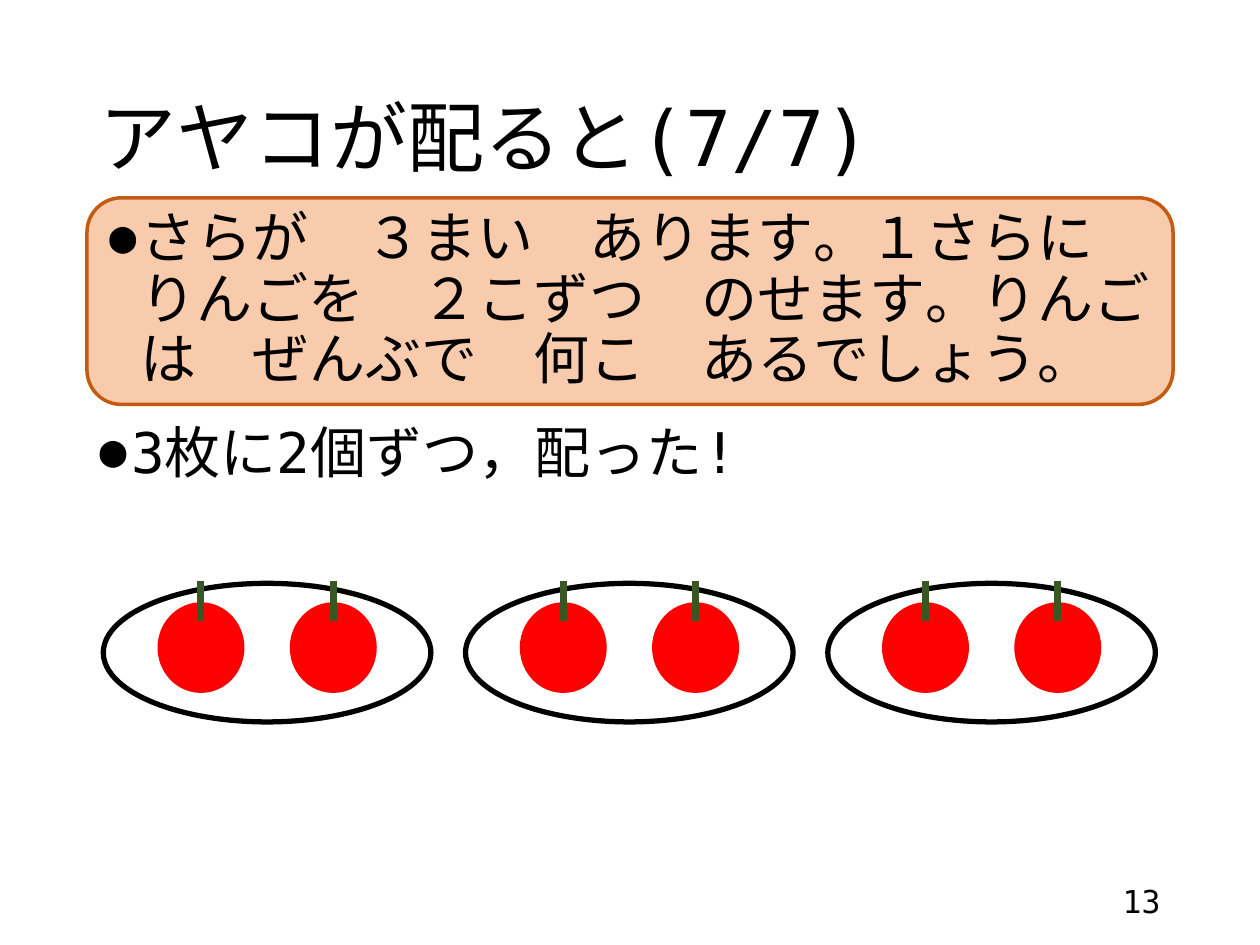
from dataclasses import dataclass

from lxml import etree
from pptx import Presentation
from pptx import util as u
from pptx.dml.color import RGBColor
from pptx.enum import shapes, text
from pptx.oxml.ns import qn


@dataclass(frozen=True)
class Theme:
    font: str = "DejaVu Sans Mono"
    title: int = 44
    body: int = 32
    number: int = 18
    ink: str = "000000"
    paper: str = "FFFFFF"
    apple: str = "FF0000"
    stem: str = "385723"
    panel: str = "F8CBAD"
    edge: str = "C55A11"


THEME = Theme()
W, H = 10, 7.5
MARGIN = 0.69
CONTENT_W = W - 2 * MARGIN


def rgb(value):
    return RGBColor.from_string(value)


def place(sp, box):
    sp.left, sp.top, sp.width, sp.height = (u.Inches(v) for v in box)


def write(sp, words, size, align=text.PP_ALIGN.LEFT, anchor=text.MSO_ANCHOR.MIDDLE,
          bullet=False, spacing=0.9):
    tf = sp.text_frame
    tf.word_wrap = True
    tf.auto_size = text.MSO_AUTO_SIZE.NONE
    tf.vertical_anchor = anchor
    p = tf.paragraphs[0]
    p.alignment = align
    p.line_spacing = spacing
    p.space_before = u.Pt(0)
    if bullet:
        pPr = p._p.get_or_add_pPr()
        pPr.set("marL", str(u.Inches(0.25)))
        pPr.set("indent", str(-u.Inches(0.25)))
        etree.SubElement(pPr, qn("a:buSzPct")).set("val", "80000")
        etree.SubElement(pPr, qn("a:buFont")).set("typeface", THEME.font)
        etree.SubElement(pPr, qn("a:buChar")).set("char", "●")
    r = p.add_run()
    r.text = words
    r.font.size = u.Pt(size)
    r.font.name = THEME.font
    r.font.color.rgb = rgb(THEME.ink)
    etree.SubElement(r._r.get_or_add_rPr(), qn("a:ea")).set("typeface", THEME.font)


def add_filled(parent, kind, box, fill, line=None, width=0):
    sp = parent.add_shape(kind, *(u.Inches(v) for v in box))
    sp.shadow.inherit = False
    sp.fill.solid()
    sp.fill.fore_color.rgb = rgb(fill)
    if line:
        sp.line.color.rgb = rgb(line)
        sp.line.width = u.Pt(width)
    else:
        sp.line.fill.background()
    return sp


def add_problem(slide, box, words):
    sp = add_filled(slide.shapes, shapes.MSO_SHAPE.ROUNDED_RECTANGLE, box,
                    THEME.panel, THEME.edge, 2)
    write(sp, words, THEME.body, bullet=True)


def add_apple(slide, box):
    x, y, w, h = box
    group = slide.shapes.add_group_shape()
    add_filled(group.shapes, shapes.MSO_SHAPE.OVAL, box, THEME.apple)
    # Stem, centred over the apple
    mid = u.Inches(x + w / 2)
    stem = group.shapes.add_connector(shapes.MSO_CONNECTOR.STRAIGHT, mid,
                                      u.Inches(y - 0.17), mid, u.Inches(y + 0.15))
    stem.line.color.rgb = rgb(THEME.stem)
    stem.line.width = u.Pt(4)
    etree.SubElement(stem._element.spPr, qn("a:effectLst"))


def add_plate(slide, box, apples=2):
    x, y, w, h = box
    add_filled(slide.shapes, shapes.MSO_SHAPE.OVAL, box, THEME.paper, THEME.ink, 3)
    for i in range(apples):
        add_apple(slide, (x + 0.43 + i * 1.05, y + 0.15, 0.69, 0.72))


def add_plates(slide, box, count=3):
    x, y, w, h = box
    plate_w = 2.6
    step = (w - plate_w) / (count - 1)
    for i in range(count):
        add_plate(slide, (x + i * step, y, plate_w, h))


def add_page_number(slide, box, number):
    sp = slide.shapes.add_textbox(*(u.Inches(v) for v in box))
    write(sp, number, THEME.number, align=text.PP_ALIGN.RIGHT, spacing=1.0)


def main():
    prs = Presentation()
    prs.slide_width, prs.slide_height = u.Inches(W), u.Inches(H)
    slide = prs.slides.add_slide(prs.slide_layouts[1])

    # Title and conclusion
    title, body = slide.placeholders
    place(title, (MARGIN, 0.4, CONTENT_W, 1.45))
    write(title, "アヤコが配ると(7/7)", THEME.title)
    place(body, (MARGIN, 3.32, CONTENT_W, 3.43))
    write(body, "3枚に2個ずつ，配った!", THEME.body,
          anchor=text.MSO_ANCHOR.TOP, bullet=True)

    # Word problem, plates of apples and page number
    add_problem(slide, (MARGIN, 1.57, CONTENT_W, 1.64),
                "さらが　３まい　あります。１さらに　りんごを　２こずつ　のせます。"
                "りんごは　ぜんぶで　何こ　あるでしょう。")
    add_plates(slide, (0.82, 4.63, 8.35, 1.1))
    add_page_number(slide, (7.06, 6.95, 2.25, 0.4), "13")

    prs.save("out.pptx")


if __name__ == "__main__":
    main()
